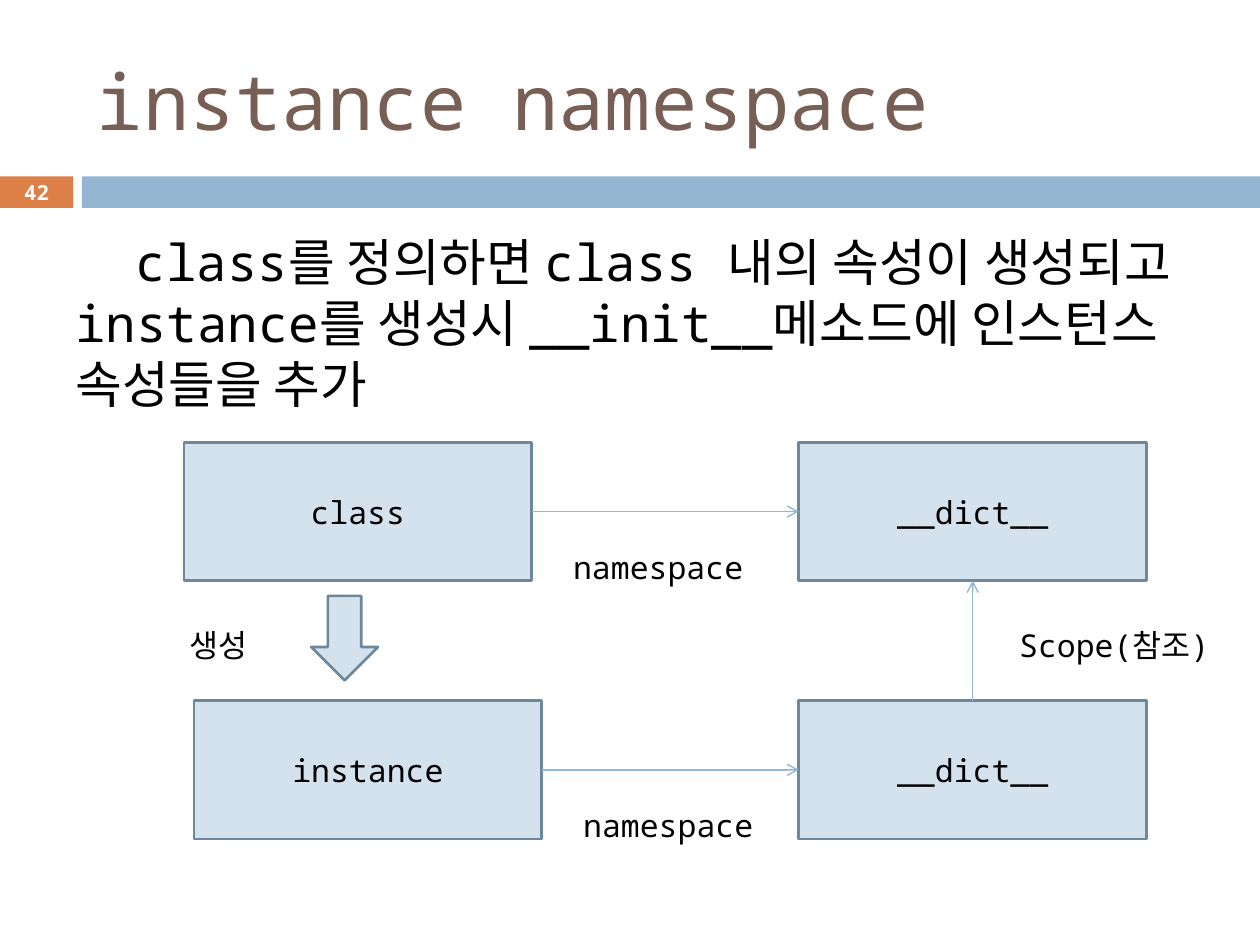
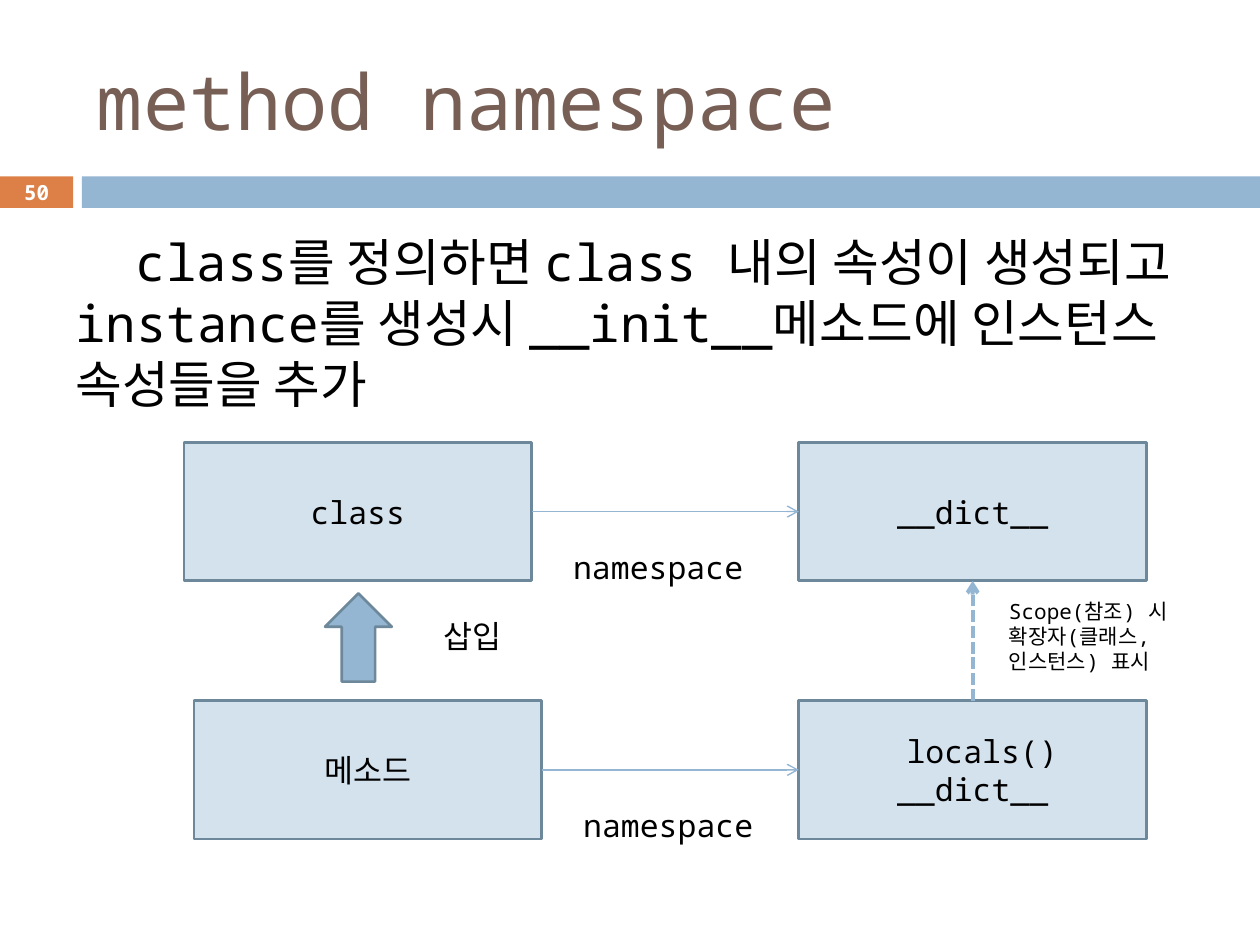
from dataclasses import dataclass

from lxml.etree import SubElement
from pptx import Presentation
from pptx.dml.color import RGBColor
from pptx.enum.dml import MSO_LINE
from pptx.enum.shapes import MSO_CONNECTOR, MSO_SHAPE
from pptx.enum.text import MSO_ANCHOR, PP_ALIGN
from pptx.oxml.ns import qn
from pptx.shapes.autoshape import Shape
from pptx.slide import Slide
from pptx.util import Inches, Pt


@dataclass(frozen=True)
class Theme:
    font: str = "Noto Sans Mono"
    title: str = "775F55"
    text: str = "000000"
    white: str = "FFFFFF"
    accent: str = "DD8047"
    blue: str = "94B6D2"
    pale_blue: str = "D4E2ED"
    outline: str = "6D879B"
    title_size: float = 44
    body_size: float = 29
    label_size: float = 18
    note_size: float = 12
    number_size: float = 11.9
    outline_width: float = 1.5
    thin_line: float = 0.79
    thick_line: float = 2.25


THEME = Theme()


@dataclass(frozen=True)
class Area:
    left: float
    top: float
    width: float
    height: float

    def lengths(self) -> tuple:
        return tuple(map(Inches, (self.left, self.top, self.width, self.height)))


@dataclass(frozen=True)
class Label:
    text: str
    area: Area
    size: float = THEME.label_size
    align: PP_ALIGN = PP_ALIGN.LEFT


@dataclass(frozen=True)
class BlockArrow:
    kind: MSO_SHAPE
    area: Area
    fill: str


@dataclass(frozen=True)
class NamespacePage:
    title: str
    number: int
    owner: str  # lower left box
    namespace: str  # lower right box
    namespace_indent: float
    arrow: BlockArrow
    arrow_label: Label
    scope_label: Label
    scope_dashed: bool


BODY = ("class를 정의하면 class 내의 속성이 생성되고 instance를 생성시 "
        "__init__메소드에 인스턴스 속성들을 추가")

# Diagram grid
BOX_WIDTH, BOX_HEIGHT = 2.76, 1.1
CLASS_LEFT, OWNER_LEFT, DICT_LEFT = 1.46, 1.54, 6.34
UPPER_TOP, LOWER_TOP = 3.51, 5.56

PAGES = [
    NamespacePage(
        "instance namespace", 42, "instance", "__dict__", 0,
        BlockArrow(MSO_SHAPE.DOWN_ARROW, Area(2.47, 4.73, 0.53, 0.67), THEME.pale_blue),
        Label("생성", Area(0.91, 4.92, 1.65, 0.4), align=PP_ALIGN.CENTER),
        Label("Scope(참조)", Area(7.99, 4.92, 1.73, 0.4)),
        scope_dashed=False,
    ),
    NamespacePage(
        "method namespace", 50, "메소드", "locals()\n__dict__", 0.15,
        BlockArrow(MSO_SHAPE.UP_ARROW, Area(2.58, 4.71, 0.53, 0.7), THEME.blue),
        Label("삽입", Area(3.42, 4.85, 0.87, 0.4)),
        Label("Scope(참조) 시 확장자(클래스, 인스턴스) 표시",
              Area(7.91, 4.7, 1.73, 0.71), THEME.note_size),
        scope_dashed=True,
    ),
]


def write(shape: Shape, text: str, size: float, color: str = THEME.text,
          align: PP_ALIGN = PP_ALIGN.LEFT, anchor: MSO_ANCHOR = MSO_ANCHOR.TOP,
          bold: bool = False, first_indent: float = 0) -> None:
    frame = shape.text_frame
    frame.word_wrap = True
    frame.vertical_anchor = anchor
    frame.text = text
    if first_indent:
        properties = frame.paragraphs[0]._p.get_or_add_pPr()
        properties.set("indent", str(Inches(first_indent)))
    for paragraph in frame.paragraphs:
        paragraph.alignment = align
        paragraph.font.name = THEME.font
        paragraph.font.size = Pt(size)
        paragraph.font.bold = bold
        paragraph.font.color.rgb = RGBColor.from_string(color)


def add_text(slide: Slide, area: Area, text: str, size: float, **style) -> None:
    write(slide.shapes.add_textbox(*area.lengths()), text, size, **style)


def add_label(slide: Slide, label: Label) -> None:
    add_text(slide, label.area, label.text, label.size, align=label.align)


def add_filled(slide: Slide, kind: MSO_SHAPE, area: Area, fill: str,
               outlined: bool = True) -> Shape:
    shape = slide.shapes.add_shape(kind, *area.lengths())
    shape.shadow.inherit = False
    shape.fill.solid()
    shape.fill.fore_color.rgb = RGBColor.from_string(fill)
    if outlined:
        shape.line.color.rgb = RGBColor.from_string(THEME.outline)
        shape.line.width = Pt(THEME.outline_width)
    else:
        shape.line.fill.background()
    return shape


def add_box(slide: Slide, left: float, top: float, text: str,
            first_indent: float = 0) -> Shape:
    box = add_filled(slide, MSO_SHAPE.RECTANGLE,
                     Area(left, top, BOX_WIDTH, BOX_HEIGHT), THEME.pale_blue)
    write(box, text, THEME.label_size, align=PP_ALIGN.CENTER,
          anchor=MSO_ANCHOR.MIDDLE, first_indent=first_indent)
    return box


def connect(slide: Slide, start: Shape, start_side: int, end: Shape,
            end_side: int, dashed: bool = False) -> None:
    connector = slide.shapes.add_connector(MSO_CONNECTOR.STRAIGHT, 0, 0, 0, 0)
    connector.begin_connect(start, start_side)
    connector.end_connect(end, end_side)
    line = connector.line
    line.color.rgb = RGBColor.from_string(THEME.blue)
    line.width = Pt(THEME.thick_line if dashed else THEME.thin_line)
    if dashed:
        line.dash_style = MSO_LINE.SQUARE_DOT
    SubElement(line._get_or_add_ln(), qn("a:tailEnd"), type="arrow")
    SubElement(connector._element.spPr, qn("a:effectLst"))


def add_frame(slide: Slide, title: str, number: int) -> None:
    """Bands, slide number, title and body text."""
    number_band = add_filled(slide, MSO_SHAPE.RECTANGLE, Area(0, 1.4, 0.58, 0.25),
                             THEME.accent, outlined=False)
    frame = number_band.text_frame
    frame.margin_left = frame.margin_right = frame.margin_top = frame.margin_bottom = 0
    write(number_band, str(number), THEME.number_size, THEME.white,
          PP_ALIGN.CENTER, MSO_ANCHOR.MIDDLE, bold=True)
    add_filled(slide, MSO_SHAPE.RECTANGLE, Area(0.65, 1.4, 9.35, 0.25),
               THEME.blue, outlined=False)
    add_text(slide, Area(0.67, 0.25, 8.92, 1.08), title, THEME.title_size,
             color=THEME.title, anchor=MSO_ANCHOR.MIDDLE)
    add_text(slide, Area(0.5, 1.78, 9, 1.81), BODY, THEME.body_size, first_indent=0.48)


def add_namespace_row(slide: Slide, left: float, top: float, owner: str,
                      namespace: str, namespace_indent: float = 0) -> Shape:
    """Owner box, arrow and namespace box; returns the namespace box."""
    owner_box = add_box(slide, left, top, owner)
    namespace_box = add_box(slide, DICT_LEFT, top, namespace, namespace_indent)
    connect(slide, owner_box, 3, namespace_box, 1)
    label_area = Area(left + BOX_WIDTH + 0.23, top + 0.79, 1.57, 0.4)
    add_label(slide, Label("namespace", label_area))
    return namespace_box


def add_page(presentation: Presentation, page: NamespacePage) -> None:
    slide = presentation.slides.add_slide(presentation.slide_layouts[6])
    add_frame(slide, page.title, page.number)

    # Namespace rows joined by the scope arrow
    class_dict = add_namespace_row(slide, CLASS_LEFT, UPPER_TOP, "class", "__dict__")
    owner_dict = add_namespace_row(slide, OWNER_LEFT, LOWER_TOP, page.owner,
                                   page.namespace, page.namespace_indent)
    connect(slide, owner_dict, 0, class_dict, 2, page.scope_dashed)
    add_label(slide, page.scope_label)

    # Block arrow between class and owner
    add_filled(slide, page.arrow.kind, page.arrow.area, page.arrow.fill)
    add_label(slide, page.arrow_label)


def main() -> None:
    presentation = Presentation()
    presentation.slide_width = Inches(10)
    presentation.slide_height = Inches(7.5)
    for page in PAGES:
        add_page(presentation, page)
    presentation.save("out.pptx")


if __name__ == "__main__":
    main()
